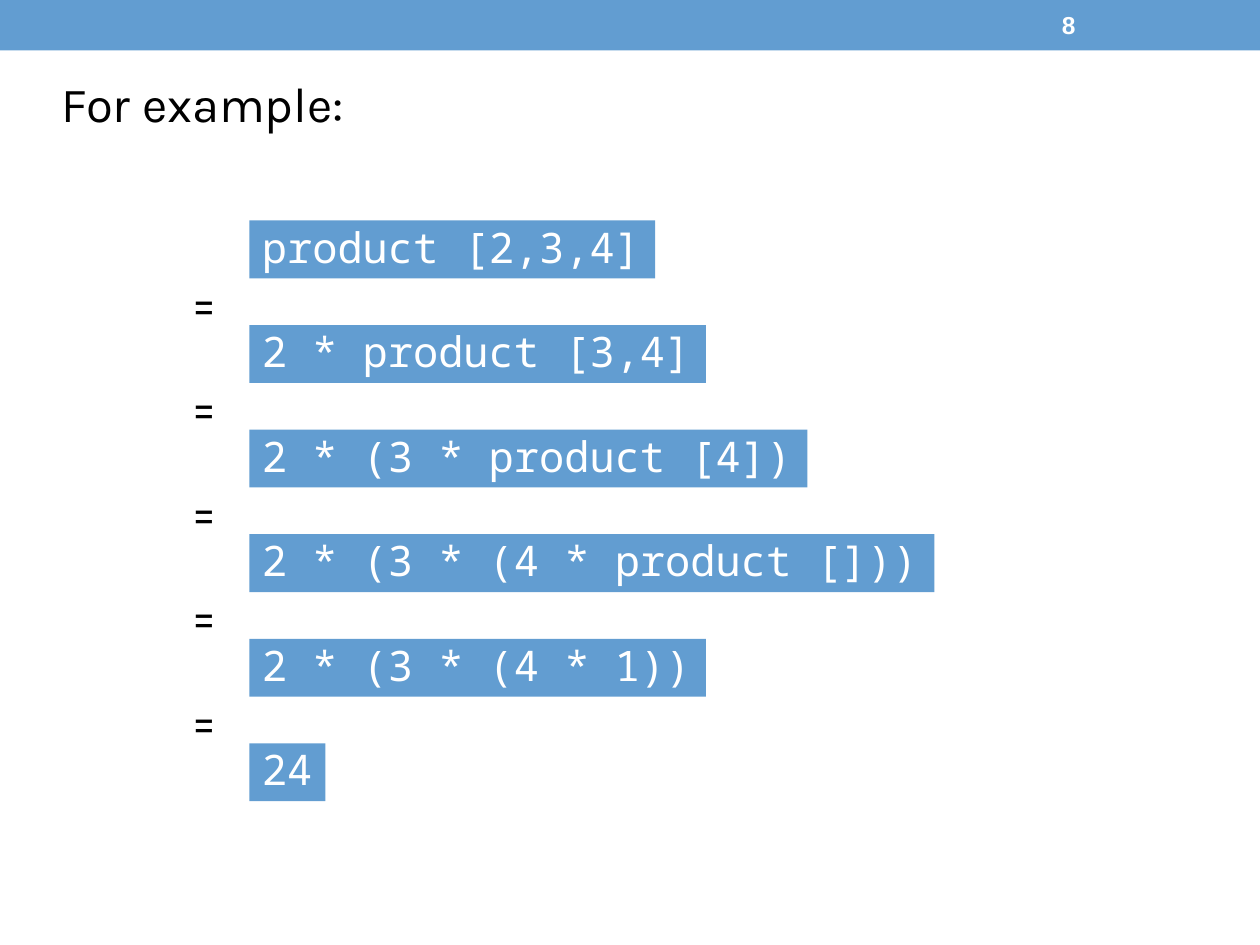
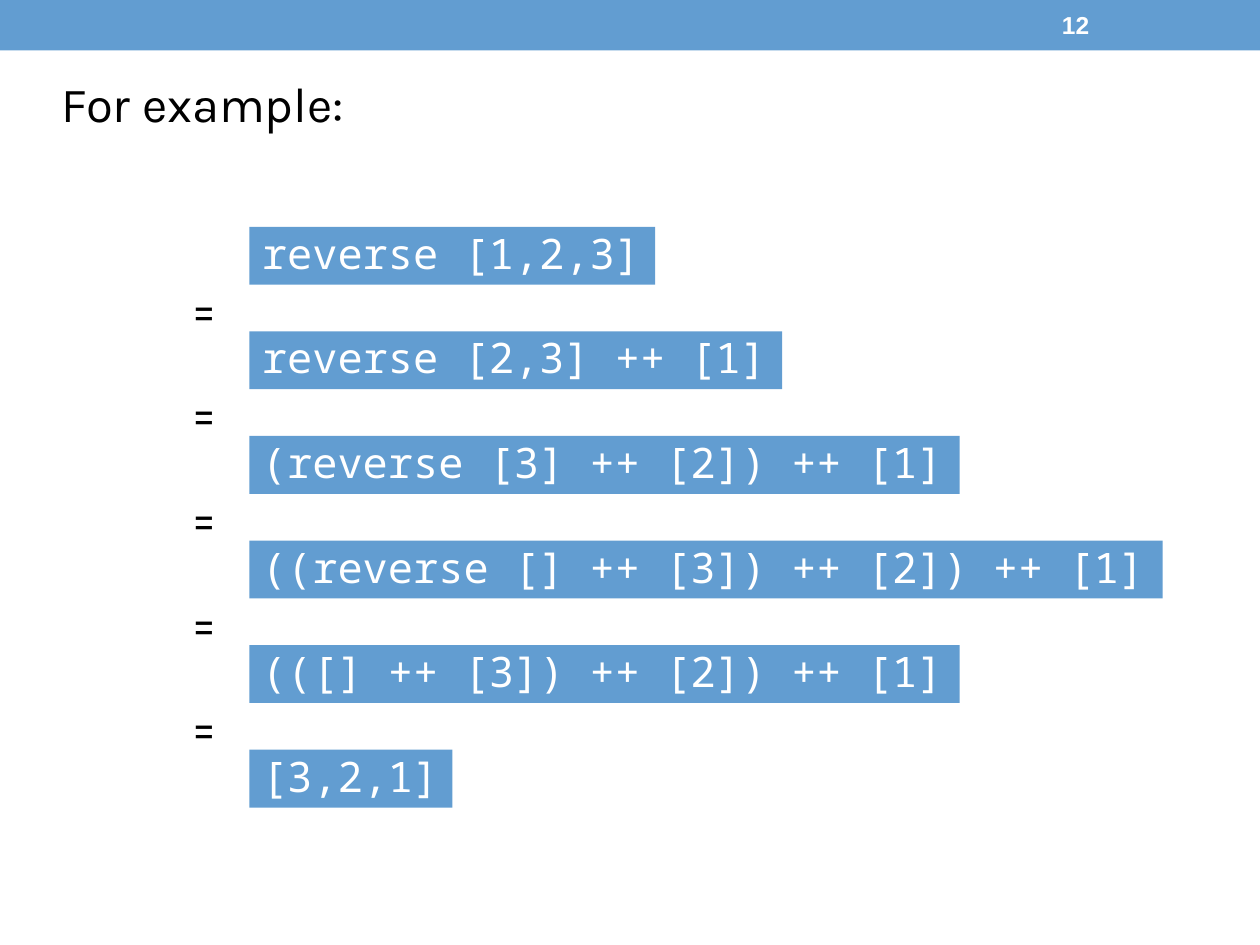
from dataclasses import dataclass

from pptx import Presentation
from pptx.dml.color import RGBColor
from pptx.enum.shapes import MSO_SHAPE
from pptx.enum.text import MSO_ANCHOR, MSO_AUTO_SIZE, PP_ALIGN
from pptx.util import Inches, Pt


@dataclass(frozen=True)
class Theme:
    blue: RGBColor = RGBColor(0x62, 0x9D, 0xD1)
    white: RGBColor = RGBColor(0xFF, 0xFF, 0xFF)
    black: RGBColor = RGBColor(0x00, 0x00, 0x00)
    text_font: str = "Karla"
    code_font: str = "Noto Sans Mono"
    number_font: str = "Arial"
    text_size: Pt = Pt(28)
    code_size: Pt = Pt(24)
    number_size: Pt = Pt(14)
    code_advance: Pt = Pt(14.5)  # width of one code character


THEME = Theme()
TITLE_ONLY = 5

STEP_LEFT = Inches(1.98)
STEP_HEIGHT = Inches(0.46)
STEP_PITCH = Inches(0.83)
STEP_PADDING = Inches(0.1)
EQUALS_LEFT = Inches(1.38)
EQUALS_RISE = Inches(0.48)  # how far an equals sign starts above its step
LINE_HEIGHT = Inches(0.57)

# Slide number, top of the first step, steps of the evaluation
EXAMPLES = [
    (8, Inches(1.75), [
        "product [2,3,4]",
        "2 * product [3,4]",
        "2 * (3 * product [4])",
        "2 * (3 * (4 * product []))",
        "2 * (3 * (4 * 1))",
        "24",
    ]),
    (12, Inches(1.8), [
        "reverse [1,2,3]",
        "reverse [2,3] ++ [1]",
        "(reverse [3] ++ [2]) ++ [1]",
        "((reverse [] ++ [3]) ++ [2]) ++ [1]",
        "(([] ++ [3]) ++ [2]) ++ [1]",
        "[3,2,1]",
    ]),
]


def write(shape, text, font, size, color, align=PP_ALIGN.LEFT, bold=False):
    """Put one unwrapped, vertically centred line into a shape."""
    frame = shape.text_frame
    frame.word_wrap = False
    frame.auto_size = MSO_AUTO_SIZE.NONE
    frame.vertical_anchor = MSO_ANCHOR.MIDDLE
    line = frame.paragraphs[0]
    line.alignment = align
    run = line.add_run()
    run.text = text
    run.font.name = font
    run.font.size = size
    run.font.bold = bold
    run.font.color.rgb = color
    return line


def add_blue_box(slide, left, top, width, height):
    box = slide.shapes.add_shape(MSO_SHAPE.RECTANGLE, left, top, width, height)
    box.shadow.inherit = False
    box.fill.solid()
    box.fill.fore_color.rgb = THEME.blue
    box.line.fill.background()
    return box


def add_header(slide, number, slide_width):
    add_blue_box(slide, 0, 0, slide_width, Inches(0.4))
    page = slide.shapes.add_textbox(
        Inches(8.33), Inches(0.02), Inches(1.17), Inches(0.36))
    write(page, str(number), THEME.number_font, THEME.number_size,
          THEME.white, bold=True)
    page.text_frame.word_wrap = True


def set_title(slide, text):
    title = slide.shapes.title
    title.left, title.top = Inches(0.39), Inches(0.53)
    title.width, title.height = Inches(2.45), LINE_HEIGHT
    write(title, text, THEME.text_font, THEME.text_size, THEME.black)


def add_step(slide, code, top):
    width = 2 * STEP_PADDING + len(code) * THEME.code_advance
    step = add_blue_box(slide, STEP_LEFT, top, width, STEP_HEIGHT)
    line = write(step, code, THEME.code_font, THEME.code_size, THEME.white)
    line.line_spacing = 0.9


def add_equals(slide, top):
    equals = slide.shapes.add_textbox(
        EQUALS_LEFT, top, Inches(0.48), LINE_HEIGHT)
    write(equals, "=", THEME.text_font, THEME.text_size, THEME.black,
          PP_ALIGN.CENTER)


def add_evaluation(slide, steps, first_top):
    """Stack the steps at an even pitch, joined by equals signs."""
    for index, code in enumerate(steps):
        top = first_top + index * STEP_PITCH
        add_step(slide, code, top)
        if index:
            add_equals(slide, top - EQUALS_RISE)


def main():
    deck = Presentation()
    deck.slide_width, deck.slide_height = Inches(10), Inches(7.5)
    for number, first_top, steps in EXAMPLES:
        slide = deck.slides.add_slide(deck.slide_layouts[TITLE_ONLY])
        add_header(slide, number, deck.slide_width)
        set_title(slide, "For example:")
        add_evaluation(slide, steps, first_top)
    deck.save("out.pptx")


if __name__ == "__main__":
    main()
